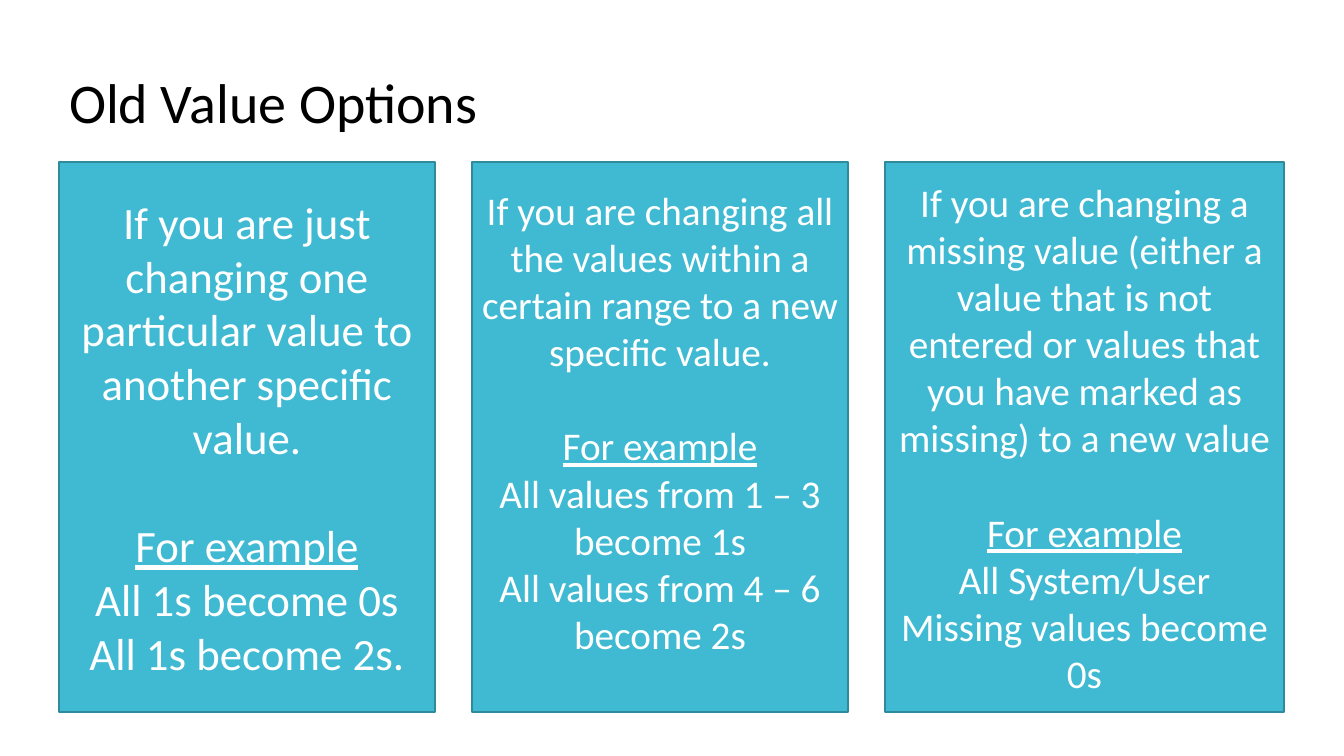
from dataclasses import dataclass

from pptx import Presentation
from pptx import util as u
from pptx.dml.color import RGBColor
from pptx.enum import shapes, text

EMU_PER_PX = 914400 / 100.8


def px(n: int) -> u.Emu:
    return u.Emu(round(n * EMU_PER_PX))


@dataclass(frozen=True)
class Theme:
    font: str = "Calibri"
    ink: RGBColor = RGBColor(0x00, 0x00, 0x00)
    on_card: RGBColor = RGBColor(0xFF, 0xFF, 0xFF)
    card: RGBColor = RGBColor(0x40, 0xBA, 0xD2)
    edge: RGBColor = RGBColor(0x2F, 0x8A, 0x9B)
    edge_width: float = 0.85
    title_size: int = 40
    line_height: float = 1.22


@dataclass(frozen=True)
class Card:
    rule: str
    examples: tuple[str, ...]
    size: int
    width: int = 376
    bottom_inset: int = 5


THEME = Theme()
LEFT, TOP, HEIGHT, PITCH = 59, 162, 550, 413

CARDS = (
    Card("If you are just changing one particular value to another specific value.",
         ("All 1s become 0s", "All 1s become 2s."), 32),
    Card("If you are changing all the values within a certain range to a new specific value.",
         ("All values from 1 – 3 become 1s", "All values from 4 – 6 become 2s"),
         28, bottom_inset=36),
    Card("If you are changing a missing value (either a value that is not entered or "
         "values that you have marked as missing) to a new value",
         ("All System/User Missing values become 0s",), 28, width=399),
)


def apply(target, values: dict) -> None:
    for name, value in values.items():
        setattr(target, name, value)


def style_font(font, size: int, color: RGBColor, underline: bool = False) -> None:
    apply(font, {"name": THEME.font, "size": u.Pt(size), "bold": False,
                 "underline": underline})
    font.color.rgb = color


def draw_title(s, title: str) -> None:
    sp = s.shapes.title
    apply(sp, {"left": px(LEFT), "top": px(62), "width": px(442), "height": px(78)})
    tf = sp.text_frame
    apply(tf, {"text": title, "word_wrap": True, "auto_size": text.MSO_AUTO_SIZE.NONE,
               "vertical_anchor": text.MSO_ANCHOR.TOP})
    p = tf.paragraphs[0]
    p.alignment = text.PP_ALIGN.LEFT
    style_font(p.runs[0].font, THEME.title_size, THEME.ink)


def draw_card(s, card: Card, left: int) -> None:
    sp = s.shapes.add_shape(shapes.MSO_SHAPE.RECTANGLE,
                            px(left), px(TOP), px(card.width), px(HEIGHT))
    sp.shadow.inherit = False
    sp.fill.solid()
    sp.fill.fore_color.rgb = THEME.card
    sp.line.color.rgb = THEME.edge
    sp.line.width = u.Pt(THEME.edge_width)

    tf = sp.text_frame
    apply(tf, {"word_wrap": True, "vertical_anchor": text.MSO_ANCHOR.MIDDLE,
               "margin_left": px(9), "margin_right": px(9),
               "margin_top": px(5), "margin_bottom": px(card.bottom_inset)})

    # Rule, underlined heading one line below it, then the examples
    heading = "For example"
    for i, line in enumerate((card.rule, heading, *card.examples)):
        p = tf.paragraphs[0] if i == 0 else tf.add_paragraph()
        p.alignment = text.PP_ALIGN.CENTER
        if line == heading:
            p.space_before = u.Pt(round(card.size * THEME.line_height))
        r = p.add_run()
        r.text = line
        style_font(r.font, card.size, THEME.on_card, underline=line == heading)


def main() -> None:
    prs = Presentation()
    apply(prs, {"slide_width": px(1344), "slide_height": px(756)})
    s = prs.slides.add_slide(prs.slide_layouts[5])

    # Three option cards at an equal pitch
    for i, card in enumerate(CARDS):
        draw_card(s, card, LEFT + i * PITCH)
    draw_title(s, "Old Value Options")

    prs.save("out.pptx")


if __name__ == "__main__":
    main()
